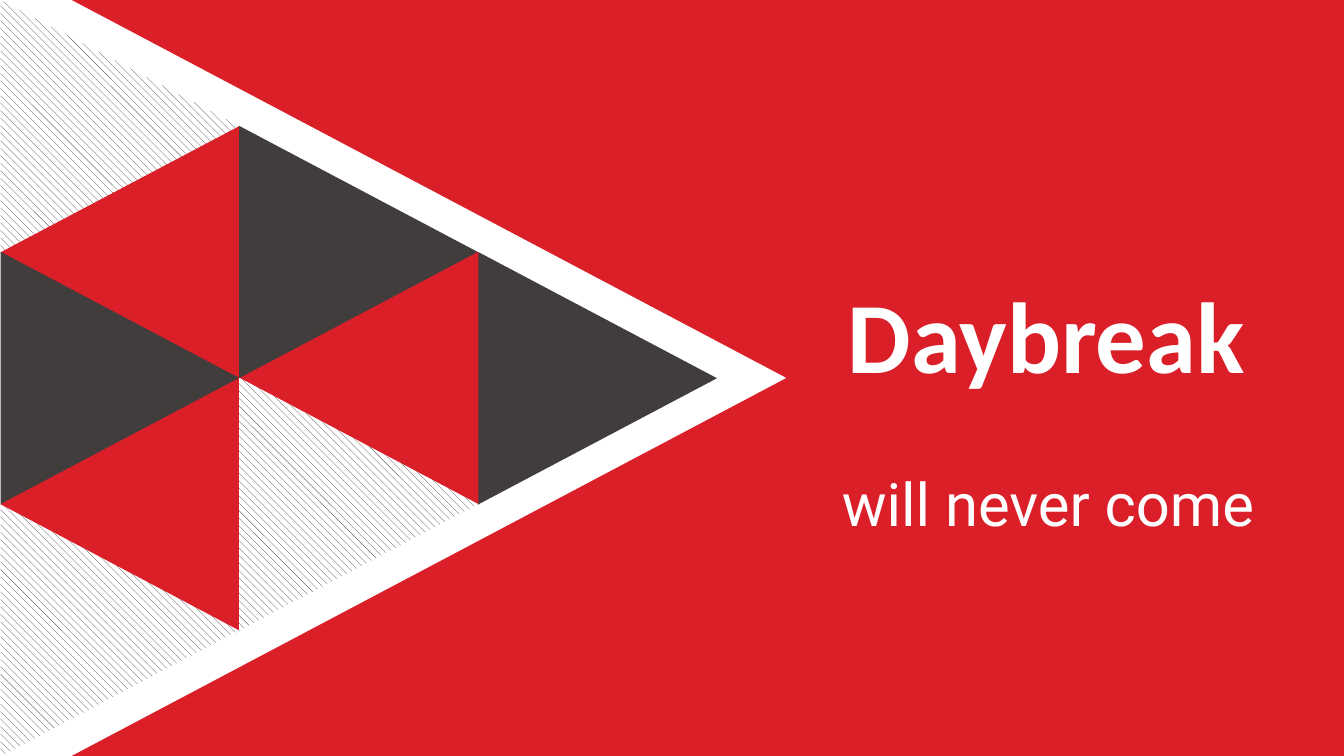
import dataclasses

import pptx
import pptx.dml.color
import pptx.enum.dml
import pptx.enum.shapes
import pptx.enum.text
import pptx.util

Cm = pptx.util.Cm

RED, DARK, WHITE = "DA1F28", "403D3C", "FFFFFF"
HATCH = "hatch"
WIDTH, HEIGHT = 25.4, 14.29
BASE, DEPTH = 4.78, 4.52
LEFT, TOP = 2.27, 2.39  # centre of the first triangle
COL, ROW = 4.51, 2.38  # steps between centres


@dataclasses.dataclass
class Tile:
    col: int
    row: int
    turn: int
    fill: str


TILES = [
    Tile(0, 0, 90, HATCH),
    Tile(0, 1, 270, RED),
    Tile(0, 2, 90, DARK),
    Tile(1, 1, 90, DARK),
    Tile(0, 4, 90, HATCH),
    Tile(2, 2, 90, DARK),
    Tile(0, 3, 270, RED),
    Tile(1, 2, 270, RED),
    Tile(1, 3, 90, HATCH),
]


def color(code: str) -> pptx.dml.color.RGBColor:
    return pptx.dml.color.RGBColor.from_string(code)


def paint(shape, fill: str) -> None:
    """Give a shape a plain or hatched fill, with no line or shadow."""
    if fill == HATCH:
        shape.fill.patterned()
        shape.fill.pattern = pptx.enum.dml.MSO_PATTERN.WIDE_DOWNWARD_DIAGONAL
        shape.fill.fore_color.rgb = color(DARK)
        shape.fill.back_color.rgb = color(WHITE)
    else:
        shape.fill.solid()
        shape.fill.fore_color.rgb = color(fill)
    shape.line.fill.background()
    shape.shadow.inherit = False


def draw_wedge(slide) -> None:
    points = [(1.35, 0), (14.86, HEIGHT / 2), (1.35, HEIGHT), (0, HEIGHT)]
    pen = slide.shapes.build_freeform(0, 0)
    pen.add_line_segments([(Cm(x), Cm(y)) for x, y in points], close=True)
    paint(pen.convert_to_shape(), WHITE)


def draw_tile(slide, tile: Tile) -> None:
    x = LEFT + COL * tile.col - BASE / 2
    y = TOP + ROW * tile.row - DEPTH / 2
    kind = pptx.enum.shapes.MSO_SHAPE.ISOSCELES_TRIANGLE
    shape = slide.shapes.add_shape(kind, Cm(x), Cm(y), Cm(BASE), Cm(DEPTH))
    shape.rotation = tile.turn
    paint(shape, tile.fill)


def write(shape, text: str, *, font: str, size: int, bold: bool = False) -> None:
    frame = shape.text_frame
    frame.word_wrap = True
    frame.auto_size = pptx.enum.text.MSO_AUTO_SIZE.NONE
    frame.vertical_anchor = pptx.enum.text.MSO_ANCHOR.TOP
    line = frame.paragraphs[0]
    line.alignment = pptx.enum.text.PP_ALIGN.CENTER
    run = line.add_run()
    run.text = text
    run.font.name = font
    run.font.size = pptx.util.Pt(size)
    run.font.bold = bold
    run.font.color.rgb = color(WHITE)


def main() -> None:
    deck = pptx.Presentation()
    deck.slide_width, deck.slide_height = Cm(WIDTH), Cm(HEIGHT)
    slide = deck.slides.add_slide(deck.slide_layouts[5])
    slide.background.fill.solid()
    slide.background.fill.fore_color.rgb = color(RED)

    draw_wedge(slide)
    for tile in TILES:
        draw_tile(slide, tile)

    title = slide.shapes.title
    title.left, title.top = Cm(13.44), Cm(5.03)
    title.width, title.height = Cm(12.67), Cm(2.57)
    write(title, "Daybreak", font="Calibri", size=54, bold=True)

    note = slide.shapes.add_textbox(Cm(15.49), Cm(8.69), Cm(8.64), Cm(1.63))
    write(note, "will never come", font="Roboto", size=32)
    deck.save("out.pptx")


if __name__ == "__main__":
    main()
